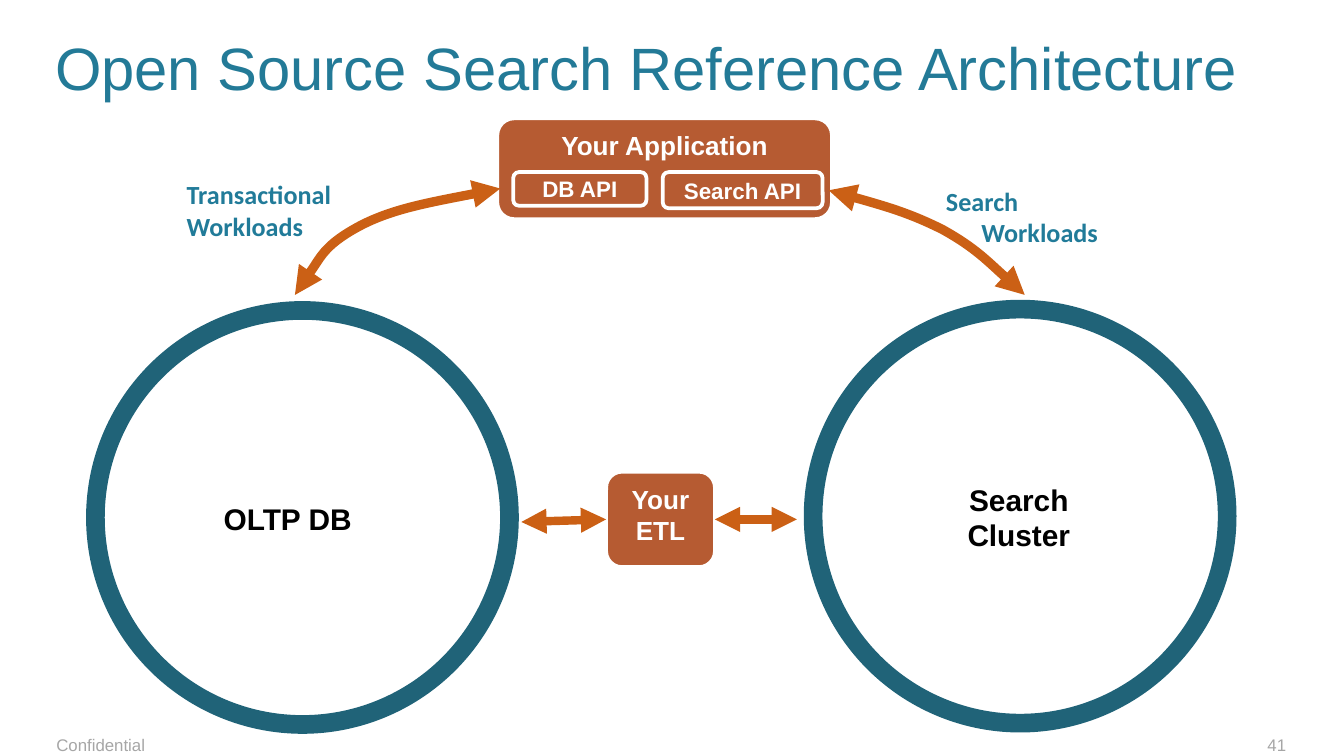
from lxml import etree
from pptx import Presentation
from pptx.dml import color
from pptx.enum import shapes, text
from pptx.oxml import ns
from pptx.util import Pt

Kind = shapes.MSO_SHAPE
Align = text.PP_ALIGN
Anchor = text.MSO_ANCHOR
RUST, ORANGE, TEAL, WHITE = "B65B32", "CB6015", "217B99", "FFFFFF"


def rgb(code):
    return color.RGBColor.from_string(code)


def write(shape, lines, size, ink, bold=True, align=Align.CENTER,
          anchor=Anchor.TOP, pad=(7.2, 3.6, 7.2, 3.6), font="Arial"):
    frame = shape.text_frame
    frame.word_wrap = True
    frame.vertical_anchor = anchor
    frame.margin_left, frame.margin_top, frame.margin_right, frame.margin_bottom = map(Pt, pad)
    for i, line in enumerate(lines):
        para = frame.add_paragraph() if i else frame.paragraphs[0]
        para.text = line
        para.alignment = align
        para.font.name, para.font.size, para.font.bold = font, Pt(size), bold
        para.font.color.rgb = rgb(ink)
    return frame


def label(slide, box, lines, size, ink, **style):
    area = slide.shapes.add_textbox(*map(Pt, box))
    return write(area, lines, size, ink, **style)


def block(slide, box, lines, size, anchor=Anchor.TOP):
    shape = slide.shapes.add_shape(Kind.ROUNDED_RECTANGLE, *map(Pt, box))
    shape.shadow.inherit = False
    shape.fill.solid()
    shape.fill.fore_color.rgb = rgb(RUST)
    shape.line.color.rgb = rgb(WHITE)
    shape.line.width = Pt(2)
    write(shape, lines, size, WHITE, anchor=anchor)
    return shape


def arrows(shape, width):
    shape.line.color.rgb = rgb(ORANGE)
    shape.line.width = Pt(width)
    props = shape._element.spPr
    line = props.find(ns.qn("a:ln"))
    for end in ("a:headEnd", "a:tailEnd"):
        etree.SubElement(line, ns.qn(end), type="triangle")
    if props.find(ns.qn("a:effectLst")) is None:
        etree.SubElement(props, ns.qn("a:effectLst"))


def curve(slide, box, nodes):
    left, top, width, height = box
    start, *rest = [(left + x * width, top + y * height) for x, y in nodes]
    form = slide.shapes.build_freeform(*start, scale=Pt(1))
    form.add_line_segments(rest, close=False)
    shape = form.convert_to_shape()
    shape.shadow.inherit = False
    shape.fill.background()
    track = next(shape._element.iter(ns.qn("a:path")))
    steps = track.findall(ns.qn("a:lnTo"))
    for i in range(0, len(steps), 3):
        bend = etree.SubElement(track, ns.qn("a:cubicBezTo"))
        for step in steps[i:i + 3]:
            bend.append(step[0])
            track.remove(step)
    arrows(shape, 5)


def store(slide, box, name, tag):
    left, top, width, height = box
    label(slide, (left + tag, top + 97, 121, 28.8), [name], 16, "000000",
          anchor=Anchor.MIDDLE, pad=(5.76, 2.88, 5.76, 2.88))
    ring = slide.shapes.add_shape(Kind.OVAL, *map(Pt, box))
    ring.shadow.inherit = False
    ring.fill.background()
    ring.line.color.rgb = rgb("206378")
    ring.line.width = Pt(10)


def app(slide, box):
    left, top, width, height = box
    block(slide, box, ["Your Application"], 14)
    for name, x, wide, tall in (("DB API", 8.6, 71.3, 18), ("Search API", 88.6, 85.7, 19.4)):
        block(slide, (left + x, top + 28.8, wide, tall), [name], 12, Anchor.MIDDLE)


def etl(slide, box):
    left, top, width, height = box
    hub = block(slide, box, ["Your", "ETL"], 14)
    mid = top + height / 2
    for side, edge, far, drop in ((3, left + width, left + 102.2, 0), (1, left, left - 45.4, 1.4)):
        link = slide.shapes.add_connector(
            shapes.MSO_CONNECTOR.STRAIGHT, Pt(edge), Pt(mid), Pt(far), Pt(mid + drop))
        link.begin_connect(hub, side)
        arrows(link, 4.5)


def flows(slide, box):
    left, top, width, height = box
    curve(slide, (left + 285.8, top + 1.4, 105.2, 56.2),
          [(0, 0), (.21, .1), (.41, .21), (.58, .37), (.75, .54), (1, 1), (1, 1)])
    curve(slide, (left, top, 109.4, 57.6),
          [(1, 0), (.73, .1), (.46, .2), (.3, .36), (.13, .54), (0, 1), (0, 1)])
    style = dict(align=Align.LEFT, font="Calibri")
    label(slide, (left - 65.5, top - 8.6, 106.6, 41),
          ["Transactional", "Workloads"], 14, TEAL, **style)
    frame = label(slide, (left + 341.3, top - 5, 108, 41),
                  ["Search", "Workloads"], 14, TEAL, **style)
    frame.paragraphs[1]._p.get_or_add_pPr().set("marL", str(Pt(19)))


def footer(slide, box):
    left, top, width, height = box
    style = dict(bold=False, pad=(0, 0, 0, 0))
    label(slide, (left, top, 275.8, height), ["Confidential"], 9, "A6A6A6",
          align=Align.LEFT, **style)
    label(slide, (left + width - 156.2, top, 156.2, height), ["41"], 9, "A6A6A6",
          align=Align.RIGHT, **style)


def main():
    deck = Presentation()
    deck.slide_width, deck.slide_height = Pt(720), Pt(405)
    slide = deck.slides.add_slide(deck.slide_layouts[6])
    footer(slide, (30.2, 393.8, 658.8, 21.6))
    store(slide, (51.1, 166.3, 221.8, 221.8), "OLTP DB", 42.5)
    store(slide, (435.6, 165.6, 221.8, 221.8), "Search Cluster", 49.7)
    app(slide, (266.4, 63.4, 179.3, 54))
    flows(slide, (158.4, 100.8, 391, 57.6))
    etl(slide, (324.7, 252.7, 58.3, 51.1))
    label(slide, (29.5, 13.7, 648, 54), ["Open Source Search Reference Architecture"],
          32, "237A97", bold=False, align=Align.LEFT, pad=(0, 3, 7.2, 0))
    deck.save("out.pptx")


if __name__ == "__main__":
    main()
